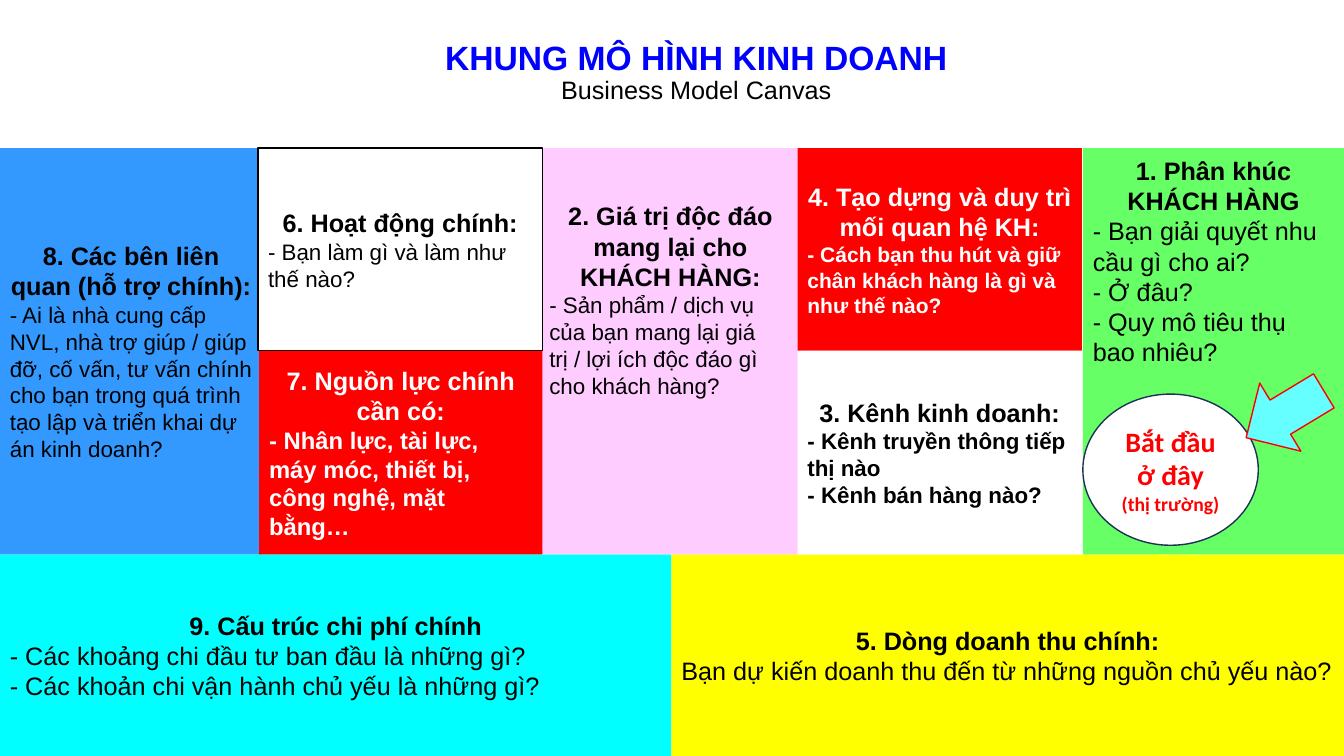
from pptx import Presentation
from pptx.dml.color import RGBColor as Rgb
from pptx.enum.shapes import MSO_SHAPE as Shape
from pptx.enum.text import MSO_ANCHOR as Anchor, MSO_AUTO_SIZE as AutoSize, PP_ALIGN as Align
from pptx.util import Inches, Pt

COLORS = {
    "white": "FFFFFF", "black": "000000", "red": "FF0000", "title": "0000FF",
    "cyan": "00FFFF", "yellow": "FFFF00", "blue": "3399FF", "green": "66FF66",
    "pink": "FFCCFF", "navy": "1E3256", "aqua": "66FFFF",
}
COLUMNS = {
    "partners": (0, 2.6), "activities": (2.56, 2.82), "resources": (2.57, 2.81),
    "value": (5.35, 2.6), "customers": (7.91, 2.82), "segments": (10.74, 2.59),
    "costs": (0, 6.66), "revenue": (6.66, 6.67),
}
ROWS = {"tall": (1.47, 4.03), "upper": (1.47, 2.01), "lower": (3.48, 2.02), "bottom": (5.5, 2)}


def write(frame, text, size=18, color="black", bold=False, align=Align.CENTER, font="Arial", spacing=1.0):
    para = frame.paragraphs[0]
    if para.runs:
        para = frame.add_paragraph()
    para.alignment = align
    para.line_spacing = spacing
    span = para.add_run()
    span.text = text
    span.font.name = font
    span.font.size = Pt(size)
    span.font.bold = bold
    span.font.color.rgb = Rgb.from_string(COLORS[color])


def draw(kind, column, row, fill, line=None):
    (left, width), (top, height) = column, row
    shape = page.shapes.add_shape(kind, Inches(left), Inches(top), Inches(width), Inches(height))
    shape.shadow.inherit = False
    shape.fill.solid()
    shape.fill.fore_color.rgb = Rgb.from_string(COLORS[fill])
    if line:
        shape.line.color.rgb = Rgb.from_string(COLORS[line])
        shape.line.width = Pt(1)
    else:
        shape.line.fill.background()
    shape.text_frame.word_wrap = True
    shape.text_frame.vertical_anchor = Anchor.MIDDLE
    return shape


deck = Presentation()
deck.slide_width, deck.slide_height = Inches(13.33), Inches(7.5)
page = deck.slides.add_slide(deck.slide_layouts[5])

title = page.shapes.title
title.left, title.top, title.width, title.height = Inches(2.94), Inches(0.31), Inches(7.93), Inches(0.84)
title.text_frame.auto_size = AutoSize.NONE
title.text_frame.vertical_anchor = Anchor.MIDDLE
write(title.text_frame, "KHUNG MÔ HÌNH KINH DOANH", size=24, color="title", bold=True, spacing=0.9)
write(title.text_frame, "Business Model Canvas", spacing=0.9)

blocks = [
    ("costs", "bottom", "cyan", "black", 18, False, "9. Cấu trúc chi phí chính",
     ["- Các khoảng chi đầu tư ban đầu là những gì?", "- Các khoản chi vận hành chủ yếu là những gì?"]),
    ("revenue", "bottom", "yellow", "black", 18, False, "5. Dòng doanh thu chính:",
     ["Bạn dự kiến doanh thu đến từ những nguồn chủ yếu nào?"]),
    ("partners", "tall", "blue", "black", 16, False, "8. Các bên liên quan (hỗ trợ chính):",
     ["- Ai là nhà cung cấp NVL, nhà trợ giúp / giúp đỡ, cố vấn, tư vấn chính cho bạn "
      "trong quá trình tạo lập và triển khai dự án kinh doanh?"]),
    ("segments", "tall", "green", "black", 18, False, "1. Phân khúc KHÁCH HÀNG",
     ["- Bạn giải quyết nhu cầu gì cho ai?", "- Ở đâu?", "- Quy mô tiêu thụ bao nhiêu?"]),
    ("value", "tall", "pink", "black", 16, False, "2. Giá trị độc đáo mang lại cho KHÁCH HÀNG:",
     ["- Sản phẩm / dịch vụ của bạn mang lại giá trị / lợi ích độc đáo gì cho khách hàng?"]),
    ("activities", "upper", "white", "black", 16, False, "6. Hoạt động chính:",
     ["- Bạn làm gì và làm như thế nào?"]),
    ("resources", "lower", "red", "white", 17, True, "7. Nguồn lực chính cần có:",
     ["- Nhân lực, tài lực, máy móc, thiết bị, công nghệ, mặt bằng…"]),
    ("customers", "upper", "red", "white", 15, True, "4. Tạo dựng và duy trì mối quan hệ KH:",
     ["- Cách bạn thu hút và giữ chân khách hàng là gì và như thế nào?"]),
    ("customers", "lower", "white", "black", 16, True, "3. Kênh kinh doanh:",
     ["- Kênh truyền thông tiếp thị nào", "- Kênh bán hàng nào?"]),
]
outlines = {"activities": "black"}
top_margins = {"segments": 0.07, "value": 0.52}

for column, row, fill, color, size, bold, heading, points in blocks:
    box = draw(Shape.RECTANGLE, COLUMNS[column], ROWS[row], fill, outlines.get(column))
    if column in top_margins:
        box.text_frame.vertical_anchor = Anchor.TOP
        box.text_frame.margin_top = Inches(top_margins[column])
    write(box.text_frame, heading, color=color, bold=True)
    for point in points:
        write(box.text_frame, point, size=size, color=color, bold=bold, align=Align.LEFT)

start = draw(Shape.OVAL, (10.74, 1.74), (3.91, 1.5), "white", "navy")
write(start.text_frame, "Bắt đầu ở đây", size=20, color="red", bold=True, font="Calibri")
write(start.text_frame, "(thị trường)", size=14, color="red", bold=True, font="Calibri")

arrow = draw(Shape.DOWN_ARROW, (12.35, 0.79), (3.66, 0.9), "aqua", "red")
arrow.rotation = 58.9

deck.save("out.pptx")
